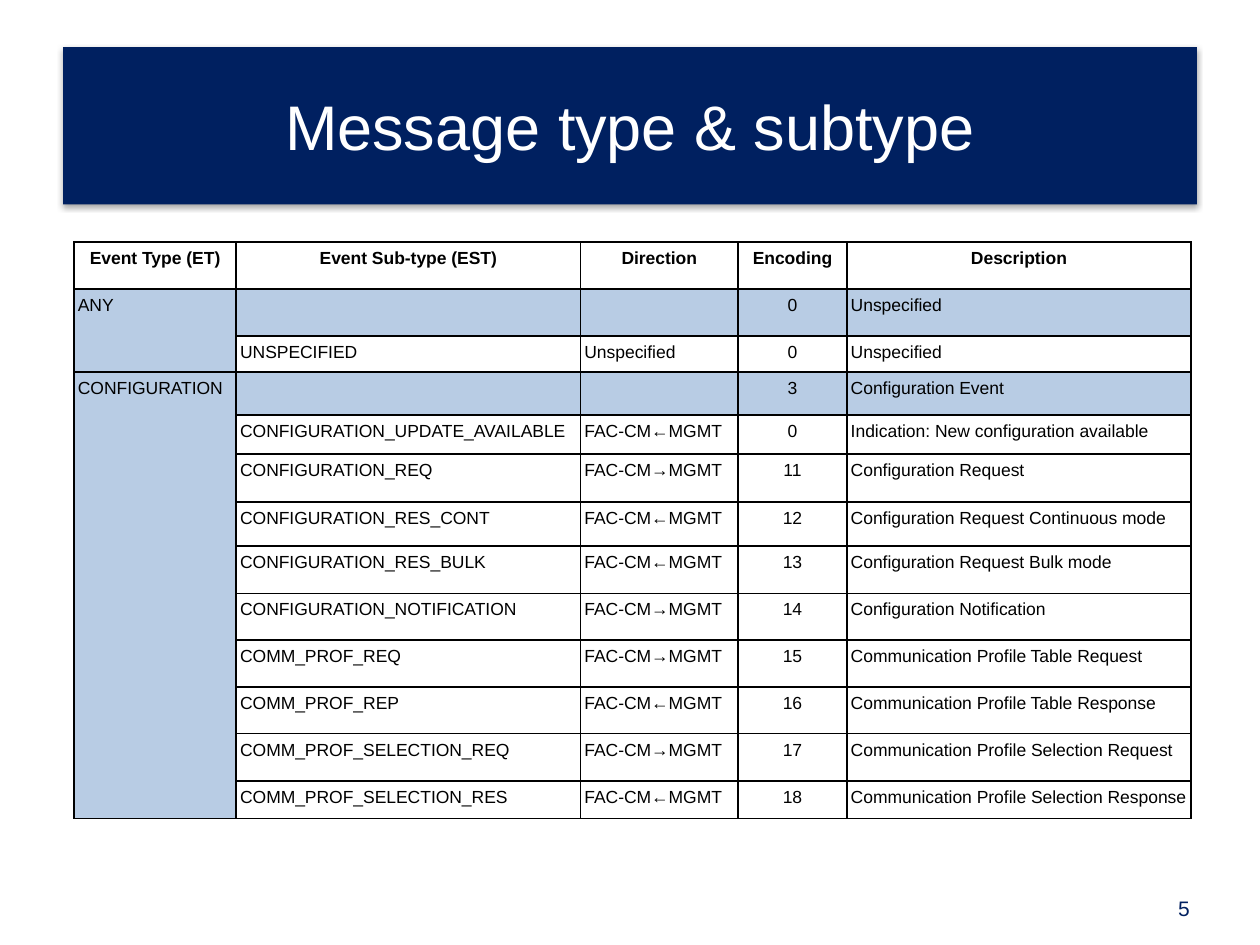
from dataclasses import dataclass

from lxml.etree import SubElement
from pptx import Presentation
from pptx.dml.color import RGBColor
from pptx.enum.text import MSO_ANCHOR, PP_ALIGN
from pptx.oxml import parse_xml
from pptx.oxml.ns import qn
from pptx.util import Cm, Pt

TITLE = "Message type & subtype"
PAGE_NUMBER = "5"
HEADERS = ["Event Type (ET)", "Event Sub-type (EST)", "Direction", "Encoding", "Description"]
TO_MGMT, FROM_MGMT = "FAC-CM→MGMT", "FAC-CM←MGMT"

# Event type, encoding, description, then its sub-types
EVENTS = [
    ("ANY", "0", "Unspecified", [
        ("UNSPECIFIED", "Unspecified", "0", "Unspecified"),
    ]),
    ("CONFIGURATION", "3", "Configuration Event", [
        ("CONFIGURATION_UPDATE_AVAILABLE", FROM_MGMT, "0",
         "Indication: New configuration available"),
        ("CONFIGURATION_REQ", TO_MGMT, "11", "Configuration Request"),
        ("CONFIGURATION_RES_CONT", FROM_MGMT, "12", "Configuration Request Continuous mode"),
        ("CONFIGURATION_RES_BULK", FROM_MGMT, "13", "Configuration Request Bulk mode"),
        ("CONFIGURATION_NOTIFICATION", TO_MGMT, "14", "Configuration Notification"),
        ("COMM_PROF_REQ", TO_MGMT, "15", "Communication Profile Table Request"),
        ("COMM_PROF_REP", FROM_MGMT, "16", "Communication Profile Table Response"),
        ("COMM_PROF_SELECTION_REQ", TO_MGMT, "17", "Communication Profile Selection Request"),
        ("COMM_PROF_SELECTION_RES", FROM_MGMT, "18", "Communication Profile Selection Response"),
    ]),
]
COLUMN_WIDTHS = [3.27, 6.94, 3.18, 2.19, 6.94]
ROW_HEIGHTS = [0.95, 0.94, 0.73, 0.87, 0.78, 0.97, 0.89, 0.95, 0.94, 0.95, 0.94, 0.95, 0.76]
ENCODING_COLUMN = HEADERS.index("Encoding")


@dataclass(frozen=True)
class Theme:
    font: str = "Arial"
    navy: RGBColor = RGBColor(0x00, 0x20, 0x60)
    group: RGBColor = RGBColor(0xB8, 0xCC, 0xE4)
    black: RGBColor = RGBColor(0, 0, 0)
    white: RGBColor = RGBColor(255, 255, 255)
    title_size: int = 36
    number_size: int = 12
    table_size: int = 10
    border: int = 1


THEME = Theme()


def set_font(paragraph, size, color, bold=False):
    font = paragraph.font
    font.name, font.size, font.bold = THEME.font, Pt(size), bold
    font.color.rgb = color


def add_title(slide):
    title = slide.shapes.title
    title.left, title.top, title.width, title.height = Cm(1.27), Cm(0.95), Cm(22.86), Cm(3.17)
    title.fill.solid()
    title.fill.fore_color.rgb = THEME.navy
    title.line.fill.background()
    title._element.spPr.append(parse_xml(
        '<a:effectLst xmlns:a="http://schemas.openxmlformats.org/drawingml/2006/main">'
        '<a:outerShdw blurRad="40000" dist="23000" dir="5400000" rotWithShape="0">'
        '<a:srgbClr val="000000"><a:alpha val="35000"/></a:srgbClr>'
        '</a:outerShdw></a:effectLst>'))
    title.text_frame.text = TITLE
    title.text_frame.vertical_anchor = MSO_ANCHOR.MIDDLE
    paragraph = title.text_frame.paragraphs[0]
    paragraph.alignment = PP_ALIGN.CENTER
    set_font(paragraph, THEME.title_size, THEME.white)


def add_borders(cell):
    properties = cell._tc.get_or_add_tcPr()
    for side in ("a:lnL", "a:lnR", "a:lnT", "a:lnB"):
        line = SubElement(properties, qn(side), w=str(Pt(THEME.border)))
        fill = SubElement(line, qn("a:solidFill"))
        SubElement(fill, qn("a:srgbClr"), val=str(THEME.black))


def format_cell(cell, text, centered, bold, shaded):
    cell.margin_left = cell.margin_right = cell.margin_top = cell.margin_bottom = Cm(0.08)
    add_borders(cell)
    if shaded:
        cell.fill.solid()
        cell.fill.fore_color.rgb = THEME.group
    else:
        cell.fill.background()
    cell.text = text
    paragraph = cell.text_frame.paragraphs[0]
    paragraph.alignment = PP_ALIGN.CENTER if centered else PP_ALIGN.LEFT
    paragraph.line_spacing = 1.15
    set_font(paragraph, THEME.table_size, THEME.black, bold)
    if not text:  # an empty cell takes its height from the end-of-paragraph size
        SubElement(paragraph._p, qn("a:endParaRPr"), sz=str(THEME.table_size * 100))


def add_event_table(slide):
    rows, group_rows, spans = [HEADERS], set(), []
    for event, encoding, description, subtypes in EVENTS:
        first = len(rows)
        group_rows.add(first)
        rows.append((event, "", "", encoding, description))
        rows.extend(("", *subtype) for subtype in subtypes)
        spans.append((first, len(rows) - 1))

    table = slide.shapes.add_table(
        len(rows), len(HEADERS), Cm(1.49), Cm(4.88),
        Cm(sum(COLUMN_WIDTHS)), Cm(sum(ROW_HEIGHTS))).table
    table.first_row = table.horz_banding = False
    for column, width in zip(table.columns, COLUMN_WIDTHS):
        column.width = Cm(width)
    for row, height in zip(table.rows, ROW_HEIGHTS):
        row.height = Cm(height)

    for r, row in enumerate(rows):
        header = r == 0
        for c, text in enumerate(row):
            shaded = r in group_rows or (c == 0 and not header)
            format_cell(table.cell(r, c), text, header or c == ENCODING_COLUMN, header, shaded)
    for first, last in spans:
        table.cell(first, 0).merge(table.cell(last, 0))


def add_page_number(slide):
    number = slide.shapes.add_textbox(Cm(23.5), Cm(17.93), Cm(1.4), Cm(0.77))
    number.text_frame.word_wrap = True
    number.text_frame.text = PAGE_NUMBER
    set_font(number.text_frame.paragraphs[0], THEME.number_size, THEME.navy)


def main():
    presentation = Presentation()
    presentation.slide_width, presentation.slide_height = Cm(25.4), Cm(19.05)
    slide = presentation.slides.add_slide(presentation.slide_layouts.get_by_name("Title Only"))
    add_title(slide)
    add_event_table(slide)
    add_page_number(slide)
    presentation.save("out.pptx")


if __name__ == "__main__":
    main()
